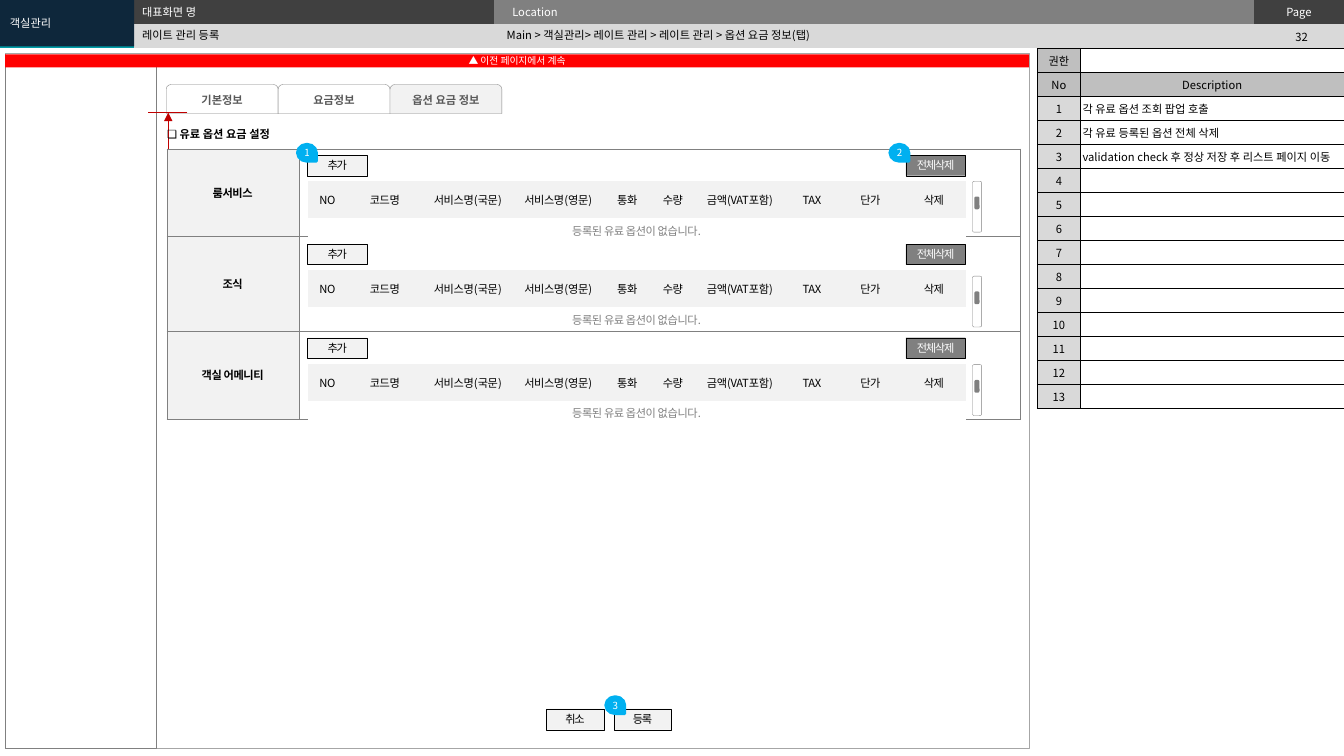
from dataclasses import dataclass
from typing import Optional

from lxml.etree import SubElement
from pptx import Presentation
from pptx.dml.color import RGBColor
from pptx.enum.shapes import MSO_CONNECTOR, MSO_SHAPE
from pptx.enum.text import MSO_ANCHOR, PP_ALIGN
from pptx.oxml.ns import qn
from pptx.util import Cm, Pt

FONT = "Noto Sans CJK KR"
BLACK, WHITE, GRAY, PALE, LIGHT = "000000", "FFFFFF", "808080", "F2F2F2", "D9D9D9"
SILVER, DARK, RED, SKY = "BFBFBF", "404040", "C00000", "00B0F0"


@dataclass(frozen=True)
class Style:
    size: float = 8
    color: str = BLACK
    bold: bool = False
    centered: bool = True
    spacing: int = 0  # hundredths of a point


@dataclass(frozen=True)
class Box:
    left: float
    top: float
    width: float
    height: float


@dataclass(frozen=True)
class Section:
    name: str
    height: float
    table_top: float
    scroll_top: float


@dataclass(frozen=True)
class Badge:
    number: str
    left: float
    top: float


BODY = Style()
LEFT = Style(centered=False)
LEFT_WHITE = Style(color=WHITE, centered=False)
TIGHT = Style(spacing=-30)
BUTTON = Style(spacing=-90)

SECTIONS = [
    Section("룸서비스", 2.2, 4.57, 4.57),
    Section("조식", 2.4, 6.81, 6.96),
    Section("객실 어메니티", 2.2, 9.17, 9.19),
]
BADGES = [Badge("1", 7.52, 3.61), Badge("2", 22.45, 3.61), Badge("3", 15.29, 17.53)]
TABS = ["기본정보", "요금정보", "옵션 요금 정보"]
OPTION_COLUMNS = {
    "NO": 1.0, "코드명": 1.9, "서비스명(국문)": 2.28, "서비스명(영문)": 2.28, "통화": 1.2,
    "수량": 1.1, "금액(VAT포함)": 2.28, "TAX": 1.35, "단가": 1.6, "삭제": 1.6,
}
DESCRIPTIONS = [
    "각 유료 옵션 조회 팝업 호출",
    "각 유료 등록된 옵션 전체 삭제",
    "validation check 후 정상 저장 후 리스트 페이지 이동",
]

prs = Presentation()
prs.slide_width, prs.slide_height = Cm(33.87), Cm(19.05)
slide = prs.slides.add_slide(prs.slide_layouts[6])


def rgb(value: str) -> RGBColor:
    return RGBColor.from_string(value)


def write(frame, text: str, style: Style) -> None:
    frame.text = text
    paragraph = frame.paragraphs[0]
    paragraph.alignment = PP_ALIGN.CENTER if style.centered else PP_ALIGN.LEFT
    for run in paragraph.runs:
        run.font.size = Pt(style.size)
        run.font.bold = style.bold
        run.font.color.rgb = rgb(style.color)
        run.font.name = FONT
        properties = run.font._element if hasattr(run.font, "_element") else run._r.get_or_add_rPr()
        SubElement(properties, qn("a:ea"), typeface=FONT)
        if style.spacing:
            properties.set("spc", str(style.spacing))
    if not text:
        SubElement(paragraph._p, qn("a:endParaRPr"), sz="800")


def paint(target, fill: Optional[str]) -> None:
    if fill:
        target.fill.solid()
        target.fill.fore_color.rgb = rgb(fill)
    else:
        target.fill.background()


def draw(box: Box, fill: Optional[str] = None, line: Optional[str] = None, text: str = "",
         style: Style = BODY, kind=MSO_SHAPE.RECTANGLE, weight: float = 0.25,
         inset: float = 0):
    shape = slide.shapes.add_shape(kind, Cm(box.left), Cm(box.top), Cm(box.width), Cm(box.height))
    shape.shadow.inherit = False
    paint(shape, fill)
    if line:
        shape.line.color.rgb = rgb(line)
        shape.line.width = Pt(weight)
    else:
        shape.line.fill.background()
    frame = shape.text_frame
    frame.margin_left = frame.margin_right = Cm(inset)
    frame.margin_top = frame.margin_bottom = 0
    frame.vertical_anchor = MSO_ANCHOR.MIDDLE
    if text:
        write(frame, text, style)
    return shape


def label(box: Box, text: str, style: Style) -> None:
    frame = slide.shapes.add_textbox(
        Cm(box.left), Cm(box.top), Cm(box.width), Cm(box.height)).text_frame
    frame.word_wrap = True
    frame.margin_top = frame.margin_bottom = 0
    frame.vertical_anchor = MSO_ANCHOR.MIDDLE
    write(frame, text, style)


def add_grid(left: float, top: float, widths: list[float], heights: list[float]):
    grid = slide.shapes.add_table(len(heights), len(widths), Cm(left), Cm(top),
                                  Cm(sum(widths)), Cm(sum(heights))).table
    grid.first_row = grid.horz_banding = False
    for column, width in zip(grid.columns, widths):
        column.width = Cm(width)
    for row, height in zip(grid.rows, heights):
        row.height = Cm(height)
    return grid


def fill_cell(cell, text: str = "", fill: Optional[str] = None, style: Style = BODY,
              border: Optional[str] = None, weight: float = 0.25,
              side: float = 0.25, edge: float = 0.06) -> None:
    properties = cell._tc.get_or_add_tcPr()
    for tag in ("a:lnL", "a:lnR", "a:lnT", "a:lnB"):
        line = SubElement(properties, qn(tag), w=str(Pt(weight)))
        if border:
            SubElement(SubElement(line, qn("a:solidFill")), qn("a:srgbClr"), val=border)
        else:
            SubElement(line, qn("a:noFill"))
    paint(cell, fill)
    cell.margin_left = cell.margin_right = Cm(side)
    cell.margin_top = cell.margin_bottom = Cm(edge)
    cell.vertical_anchor = MSO_ANCHOR.MIDDLE
    write(cell.text_frame, text, style)


def connect(x1: float, y1: float, x2: float, y2: float, arrow: bool = False) -> None:
    connector = slide.shapes.add_connector(
        MSO_CONNECTOR.STRAIGHT, Cm(x1), Cm(y1), Cm(x2), Cm(y2))
    connector.line.color.rgb = rgb(RED)
    connector.line.width = Pt(1)
    if arrow:
        SubElement(connector.line._get_or_add_ln(), qn("a:tailEnd"), type="triangle")
    SubElement(connector._element.spPr, qn("a:effectLst"))


def draw_page_header() -> None:
    header = add_grid(0, 0, [3.38, 9.07, 19.15, 2.27], [0.6, 0.6])
    header.cell(0, 0).merge(header.cell(1, 0))
    rows = [[("", "009CA6"), ("", DARK), ("Location", GRAY), ("Page", DARK)],
            [("", "009CA6"), ("", LIGHT), ("", LIGHT), ("", LIGHT)]]
    for r, row in enumerate(rows):
        for c, (text, fill) in enumerate(row):
            style = Style(color=WHITE, centered=text == "Page")
            fill_cell(header.cell(r, c), text, fill, style, side=0.46)
    label(Box(31.7, 0.66, 2.21, 0.55), "32", BODY)
    label(Box(3.33, 0.61, 9.22, 0.56), "레이트 관리 등록", LEFT)
    label(Box(12.52, 0.58, 18.75, 0.61),
          "Main > 객실관리> 레이트 관리 > 레이트 관리 > 옵션 요금 정보(탭)", LEFT)
    label(Box(3.33, 0, 9.19, 0.6), "대표화면 명", LEFT_WHITE)
    draw(Box(0, 0, 3.38, 1.17), "0E273B", None, "객실관리", LEFT_WHITE, inset=0.25)


def draw_descriptions() -> None:
    rows = [("권한", ""), ("No", "Description")]
    rows += [(str(n + 1), DESCRIPTIONS[n] if n < len(DESCRIPTIONS) else "") for n in range(13)]
    grid = add_grid(26.14, 1.22, [1.09, 6.64], [0.605] * len(rows))
    for r, (number, description) in enumerate(rows):
        fills = (SILVER if r < 2 else LIGHT, SILVER if r == 1 else None)
        styles = (BODY, BODY if r == 1 else LEFT)
        for c, text in enumerate((number, description)):
            fill_cell(grid.cell(r, c), text, fills[c], styles[c], BLACK, 0.5, side=0.05)


def draw_option_list(section: Section) -> None:
    top = section.table_top
    draw(Box(7.75, top - 0.66, 1.5, 0.52), PALE, BLACK, "추가", BUTTON)
    options = add_grid(7.75, top, list(OPTION_COLUMNS.values()), [0.93, 0.6])
    for c, heading in enumerate(OPTION_COLUMNS):
        fill_cell(options.cell(0, c), heading, PALE, TIGHT)
        fill_cell(options.cell(1, c), "" if c else "등록된 유료 옵션이 없습니다.", WHITE,
                  Style(color=GRAY, spacing=-30))
    options.cell(1, 0).merge(options.cell(1, len(OPTION_COLUMNS) - 1))
    draw(Box(24.51, section.scroll_top, 0.23, 1.28), WHITE, GRAY,
         kind=MSO_SHAPE.ROUNDED_RECTANGLE)
    draw(Box(24.59, section.scroll_top + 0.42, 0.06, 0.25), GRAY, GRAY,
         kind=MSO_SHAPE.ROUNDED_RECTANGLE, weight=2)
    draw(Box(22.83, top - 0.66, 1.5, 0.52), GRAY, BLACK, "전체삭제",
         Style(color=WHITE, spacing=-90))


def draw_badge(badge: Badge) -> None:
    drop = draw(Box(badge.left, badge.top, 0.43, 0.48), SKY, SKY, badge.number,
                Style(7, WHITE), MSO_SHAPE.TEAR, 2)
    drop.rotation = 90
    drop.text_frame._txBody.bodyPr.set("vert", "vert270")


draw_page_header()
draw(Box(0.13, 1.35, 25.8, 17.5), None, "A6A6A6")
draw(Box(0.13, 1.4, 3.81, 17.45), None, GRAY)
draw_descriptions()
for i, tab in enumerate(TABS):
    draw(Box(4.19 + 2.82 * i, 2.13, 2.82, 0.73), PALE if i == 2 else WHITE, GRAY, tab,
         Style(color="595959", bold=True), MSO_SHAPE.ROUND_2_SAME_RECTANGLE)
connect(4.72, 2.84, 3.73, 2.84)
connect(4.24, 3.89, 4.24, 2.84, arrow=True)

settings = add_grid(4.2, 3.75, [3.33, 18.19], [section.height for section in SECTIONS])
for r, section in enumerate(SECTIONS):
    fill_cell(settings.cell(r, 0), section.name, PALE, Style(bold=True, spacing=-30), GRAY)
    fill_cell(settings.cell(r, 1), "", WHITE, border=GRAY)
label(Box(3.96, 3.07, 4.57, 0.61), "❏ 유료 옵션 요금 설정", Style(bold=True, centered=False))
draw(Box(0.13, 1.37, 25.8, 0.33), "FF0000", None, "▲ 이전 페이지에서 계속", Style(7, WHITE))
for i, action in enumerate(("취소", "등록")):
    draw(Box(13.77 + 1.7 * i, 17.86, 1.45, 0.53), PALE, BLACK, action, BUTTON)
for section in SECTIONS:
    draw_option_list(section)
for badge in BADGES:
    draw_badge(badge)

prs.save("out.pptx")
